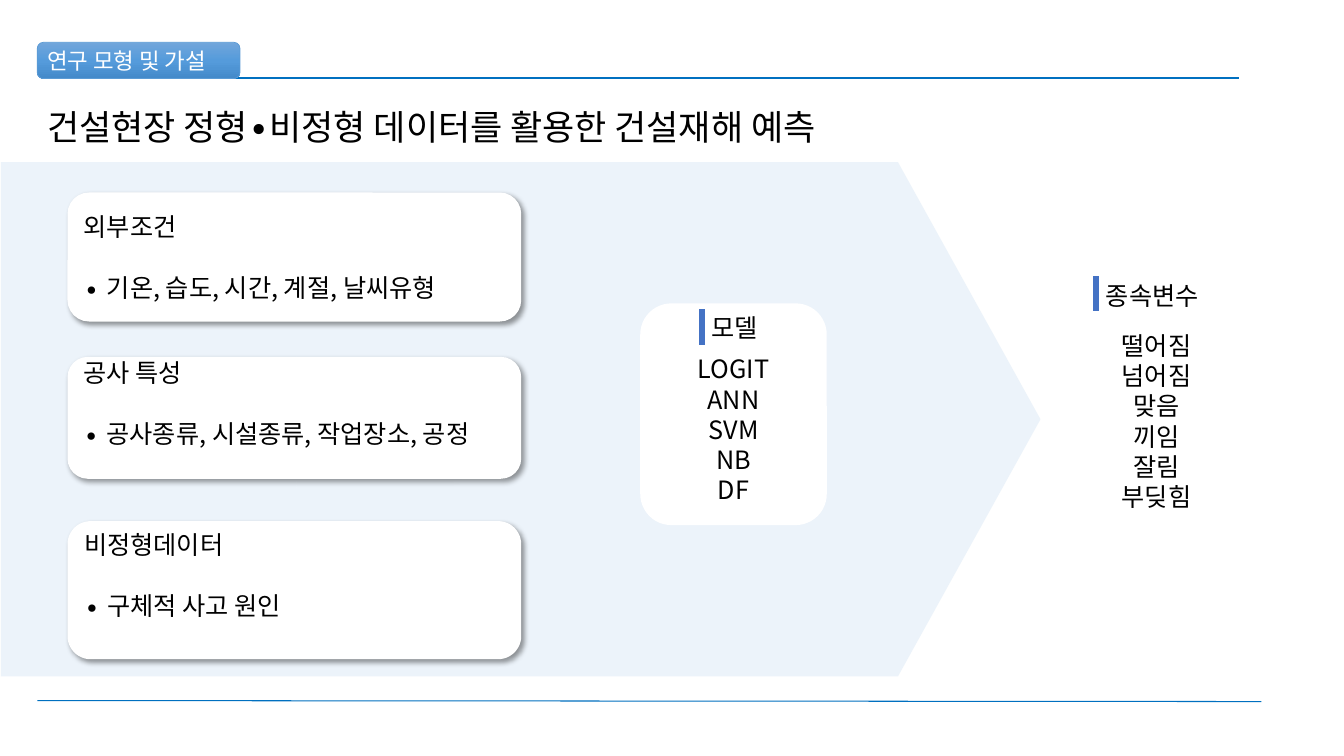
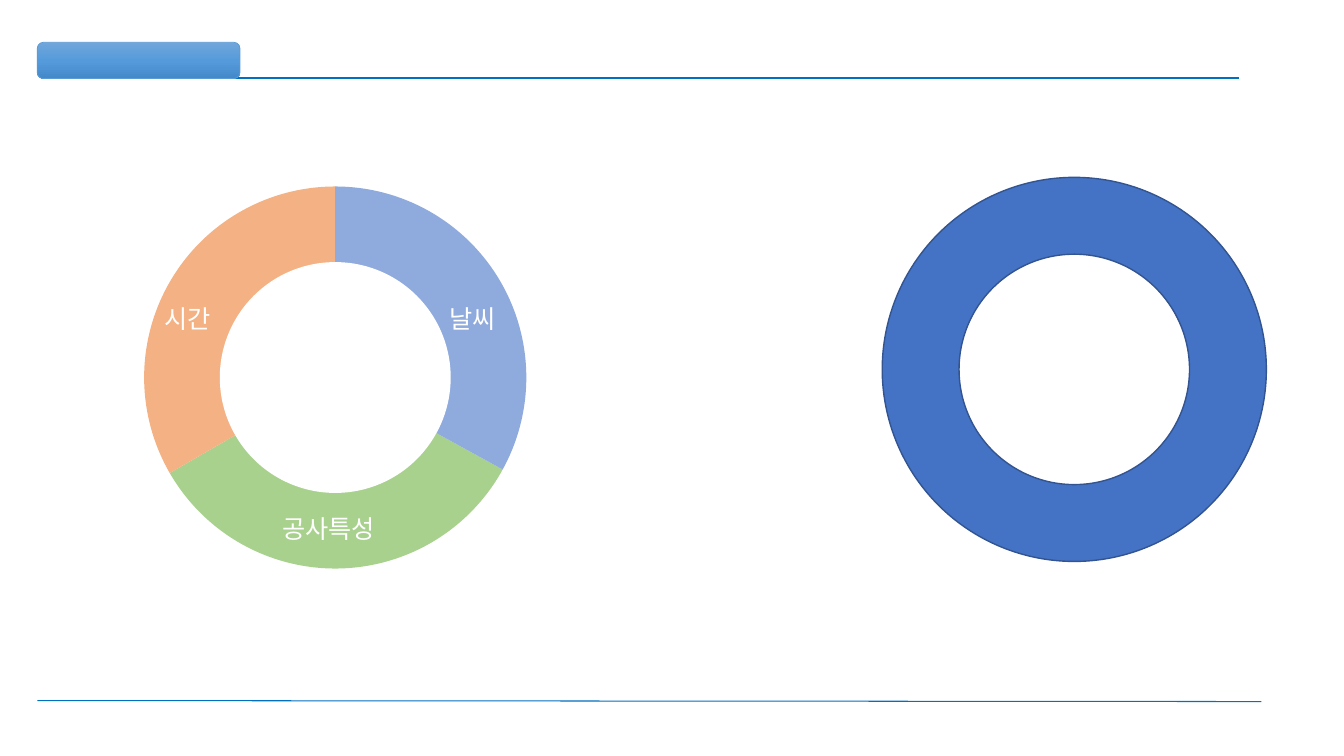
from copy import deepcopy

from lxml import etree
from pptx import Presentation
from pptx.dml.color import RGBColor
from pptx.enum import shapes, text
from pptx.oxml import ns
from pptx.util import Inches, Pt

FONT = "Noto Sans CJK KR"
WHITE, BLACK, BLUE, RULE = "FFFFFF", "000000", "4472C4", "0070C0"
LABEL_STOPS = [(0, "71A6DB"), (0.5, "559BDB"), (1, "448ACA")]
LABEL_BOX = (0.37, 0.42, 2.01, 0.36)
RULES = [((0.44, 0.77), (12.29, 0.77), 1.5), ((0.37, 6.95), (12.51, 6.96), 0.75)]

SECTION = "연구 모형 및 가설"
TITLE = "건설현장 정형∙비정형 데이터를 활용한 건설재해 예측"
CARDS = [
    ("외부조건", "기온, 습도, 시간, 계절, 날씨유형", 1.91, 1.28, 0.05),
    ("공사 특성", "공사종류, 시설종류, 작업장소, 공정", 3.54, 1.21, 0.35),
    ("비정형데이터", "구체적 사고 원인", 5.17, 1.37, 0.35),
]
MODELS = ["LOGIT", "ANN", "SVM", "NB", "DF"]
ACCIDENTS = ["떨어짐", "넘어짐", "맞음", "끼임", "잘림", "부딪힘"]
ACCENT_BARS = [(6.96, 3.07), (10.87, 2.74)]

RING_BOX = (1.43, 1.85, 3.79, 3.79)
RING_HOLE = (2.18, 2.6, 2.29, 2.29)
RING_PARTS = [
    ("공사특성", "A9D18E", 28.8, 150, (2.7, 5.04, 1.26, 0.4)),
    ("시간", "F4B183", 150, 270, (1.53, 2.96, 0.77, 0.4)),
    ("날씨", "8FAADC", 270, 28.8, (4.36, 2.96, 0.77, 0.4)),
]

SHAPE = shapes.MSO_SHAPE
CENTER = text.PP_ALIGN.CENTER


def color(value):
    return RGBColor.from_string(value)


def child(parent, tag, **attributes):
    element = etree.SubElement(parent, ns.qn(tag))
    for name, value in attributes.items():
        element.set(name, str(value))
    return element


def add_shape(collection, kind, box, fill, line=None, width=1):
    shape = collection.add_shape(kind, *map(Inches, box))
    shape.shadow.inherit = False
    shape.fill.solid()
    shape.fill.fore_color.rgb = color(fill)
    if line:
        shape.line.color.rgb = color(line)
        shape.line.width = Pt(width)
    else:
        shape.line.fill.background()
    return shape


def add_line(collection, start, end, value, width):
    points = map(Inches, (*start, *end))
    connector = collection.add_connector(shapes.MSO_CONNECTOR.STRAIGHT, *points)
    connector.line.color.rgb = color(value)
    connector.line.width = Pt(width)
    child(connector._element.spPr, "a:effectLst")


def write(shape, lines, size=18, value=BLACK, align=text.PP_ALIGN.LEFT,
          anchor=text.MSO_ANCHOR.MIDDLE, top=0.05, bottom=0.05):
    frame = shape.text_frame
    frame.word_wrap = True
    frame.vertical_anchor = anchor
    frame.margin_top, frame.margin_bottom = Inches(top), Inches(bottom)
    for index, line in enumerate(lines):
        paragraph = frame.paragraphs[0] if index == 0 else frame.add_paragraph()
        paragraph.alignment = align
        run = paragraph.add_run()
        run.text = line
        run.font.size = Pt(size)
        run.font.name = FONT
        run.font.color.rgb = color(value)
        child(run._r.get_or_add_rPr(), "a:ea", typeface=FONT)
    return frame


def add_text(collection, box, lines, **style):
    return write(collection.add_textbox(*map(Inches, box)), lines, **style)


def add_bullet(paragraph):
    properties = paragraph._p.get_or_add_pPr()
    properties.set("marL", str(Inches(0.23)))
    properties.set("indent", str(-Inches(0.23)))
    child(properties, "a:buFont", typeface=FONT)
    child(properties, "a:buChar", char="∙")


def add_card_shadow(shape):
    effects = shape._element.spPr.find(ns.qn("a:effectLst"))
    shadow = child(effects, "a:outerShdw", blurRad=Pt(4), dist=Pt(3),
                   dir=45 * 60000, algn="tl", rotWithShape=0)
    child(child(shadow, "a:srgbClr", val=BLACK), "a:alpha", val=40000)


def add_base_slide(presentation, section=None):
    slide = presentation.slides.add_slide(presentation.slide_layouts[6])
    for start, end, width in RULES:
        add_line(slide.shapes, start, end, RULE, width)
    label = add_shape(slide.shapes, SHAPE.ROUNDED_RECTANGLE, LABEL_BOX, WHITE, "5B9BD5", 0.5)
    label.fill.gradient()
    label.fill.gradient_angle = 270
    stops = label._element.spPr.find(".//" + ns.qn("a:gsLst"))
    stops.append(deepcopy(stops[0]))
    for stop, (position, value) in zip(label.fill.gradient_stops, LABEL_STOPS):
        stop.position = position
        stop.color.rgb = color(value)
    if section:
        frame = write(label, [section], size=16, value=WHITE, top=0, bottom=0)
        frame.margin_left = Inches(0.08)
    return slide


def build_model_slide(presentation):
    parts = add_base_slide(presentation, SECTION).shapes
    arrow = add_shape(parts, SHAPE.RIGHT_ARROW, (0.01, 1.61, 10.31, 5.1), "DEEBF7")
    arrow.adjustments[0], arrow.adjustments[1] = 1, 0.277
    arrow_color = arrow._element.spPr.find(ns.qn("a:solidFill"))[0]
    child(arrow_color, "a:alpha", val=56000)
    add_text(parts, (0.37, 1, 8.76, 0.52), [TITLE], size=25, anchor=text.MSO_ANCHOR.TOP)

    for heading, detail, top, height, bottom in CARDS:
        card = add_shape(parts, SHAPE.ROUNDED_RECTANGLE, (0.67, top, 4.5, height), WHITE)
        add_card_shadow(card)
        frame = write(card, [heading, detail], bottom=bottom)
        frame.margin_right = 0
        frame.paragraphs[1].space_before = Pt(22)
        add_bullet(frame.paragraphs[1])

    model = add_shape(parts, SHAPE.ROUNDED_RECTANGLE, (6.35, 3.01, 1.85, 2.2), WHITE)
    write(model, MODELS, align=CENTER, top=0.35)
    add_text(parts, (6.86, 3.01, 0.85, 0.47), ["모델"], align=CENTER)
    add_text(parts, (10.5, 3.14, 1.94, 2.07), ACCIDENTS, align=CENTER)
    add_text(parts, (10.87, 2.73, 1.4, 0.4), ["종속변수"])
    for left, top in ACCENT_BARS:
        add_line(parts, (left, top), (left, top + 0.35), BLUE, 4)


def build_ring_slide(presentation):
    parts = add_base_slide(presentation).shapes
    donut = add_shape(parts, SHAPE.DONUT, (8.75, 1.76, 3.81, 3.81), BLUE, "325491")
    donut.adjustments[0] = 0.2

    ring = parts.add_group_shape().shapes
    for name, fill, start, end, box in RING_PARTS:
        sector = add_shape(ring, SHAPE.PIE, RING_BOX, fill)
        sector.adjustments[0], sector.adjustments[1] = start * 0.6, end * 0.6
    add_shape(ring, SHAPE.OVAL, RING_HOLE, WHITE)
    for name, fill, start, end, box in RING_PARTS:
        add_text(ring, box, [name], value=WHITE)


def main():
    presentation = Presentation()
    presentation.slide_width, presentation.slide_height = Inches(13.33), Inches(7.5)
    build_model_slide(presentation)
    build_ring_slide(presentation)
    presentation.save("out.pptx")


if __name__ == "__main__":
    main()
